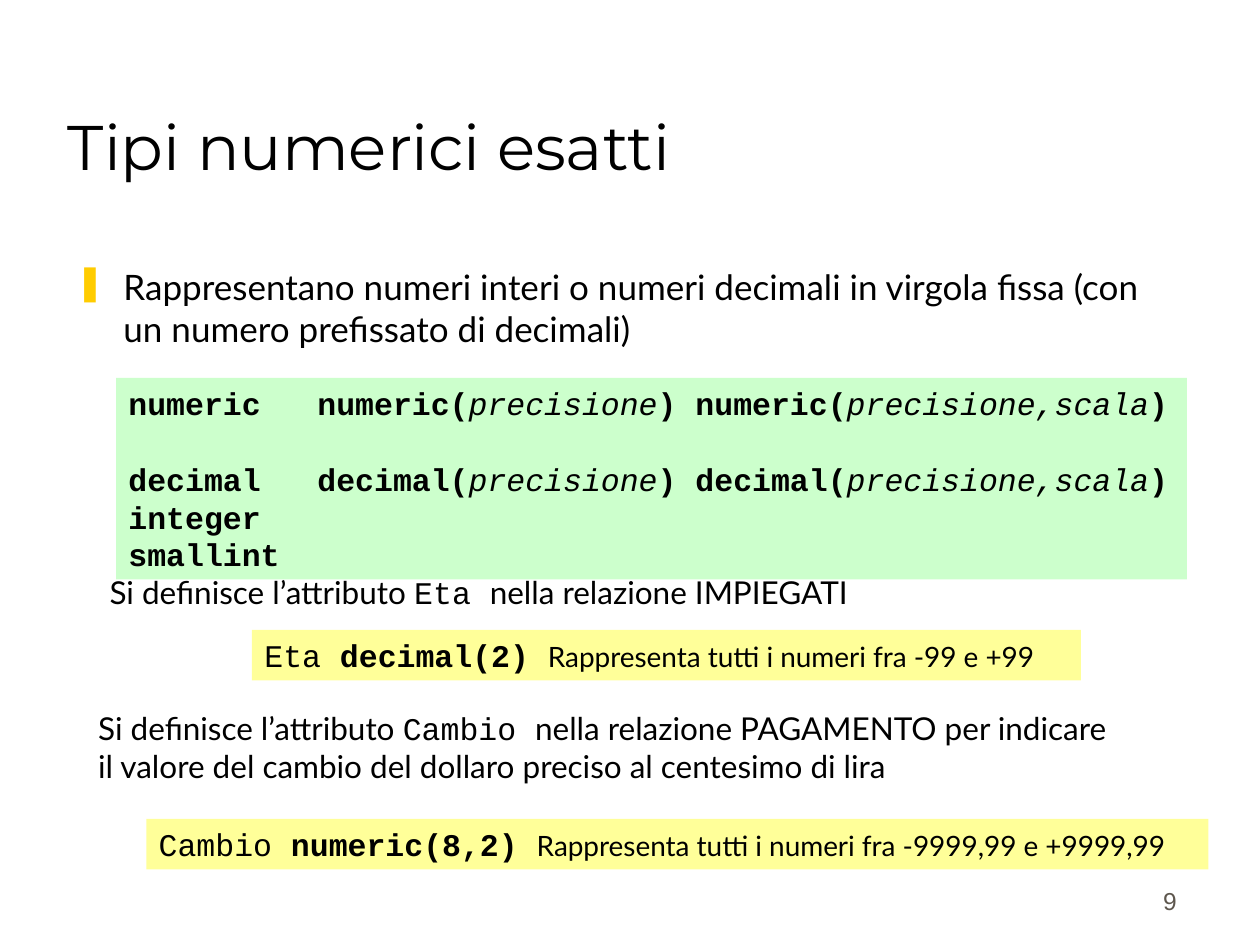
from lxml import etree
from pptx import Presentation
from pptx.dml.color import RGBColor
from pptx.enum.shapes import MSO_SHAPE
from pptx.enum.text import MSO_ANCHOR, PP_ALIGN
from pptx.oxml.ns import qn
from pptx.util import Cm, Pt

RECT = MSO_SHAPE.RECTANGLE
TOP, BOTTOM = MSO_ANCHOR.TOP, MSO_ANCHOR.BOTTOM
LEFT, RIGHT = PP_ALIGN.LEFT, PP_ALIGN.RIGHT

THEME = {
    "ink": "000000", "number": "5E574E", "bullet": "FFCC00",
    "syntax": "CCFFCC", "example": "FFFF99",
    # style: font, size, bold, italic
    "title": ("Montserrat", 36, False, False),
    "body": ("Lato", 20, False, False),
    "text": ("Lato", 18, False, False),
    "note": ("Lato", 16, False, False),
    "code": ("Courier New", 18, False, False),
    "keyword": ("Courier New", 18, True, False),
    "argument": ("Courier New", 18, False, True),
    "page": ("Arial", 14, False, False),
}
CODE_LINE = Pt(21.6)
CODE_TAB = Cm(3.81)
BULLET_INDENT = Cm(0.97)

# Content: each line is a list of (text, style) pieces
TITLE = [[("Tipi numerici esatti", "title")]]
INTRO = [[("Rappresentano numeri interi o numeri decimali in virgola fissa "
           "(con un numero prefissato di decimali)", "body")]]


def syntax_line(name):
    return [(f"{name}\t{name}(", "keyword"), ("precisione", "argument"),
            (f") {name}(", "keyword"), ("precisione,scala", "argument"),
            (")", "keyword")]


SYNTAX = [syntax_line("numeric"), syntax_line("decimal"),
          [("integer", "keyword")], [("smallint", "keyword")]]

# Explanations and examples: lines, box in cm, fill
EXAMPLES = [
    ([[("Si definisce l’attributo ", "text"), ("Eta ", "code"),
       ("nella relazione IMPIEGATI", "text")]],
     (1.96, 11.43, 16.28, 1.02), None),
    ([[("Eta ", "code"), ("decimal(2) ", "keyword"),
       ("Rappresenta tutti i numeri fra -99 e +99", "note")]],
     (5.08, 12.7, 16.71, 1.02), "example"),
    ([[("Si definisce l’attributo ", "text"), ("Cambio ", "code"),
       ("nella relazione PAGAMENTO per indicare", "text")],
      [("il valore del cambio del dollaro preciso al centesimo di lira", "text")]],
     (1.73, 14.17, 21.89, 1.78), None),
    ([[("Cambio ", "code"), ("numeric(8,2) ", "keyword"),
       ("Rappresenta tutti i numeri fra -9999,99 e +9999,99", "note")]],
     (2.95, 16.51, 21.41, 1.02), "example"),
]


def colour(name):
    return RGBColor.from_string(THEME[name])


def add_box(slide, lines, box, fill=None, anchor=TOP, align=LEFT, ink="ink"):
    """Place a text block, on a filled rectangle if a fill is given."""
    place = [Cm(value) for value in box]
    if fill:
        block = slide.shapes.add_shape(RECT, *place)
        block.shadow.inherit = False
        block.fill.solid()
        block.fill.fore_color.rgb = colour(fill)
        block.line.fill.background()
    else:
        block = slide.shapes.add_textbox(*place)
    frame = block.text_frame
    frame.word_wrap = True
    frame.vertical_anchor = anchor
    for index, pieces in enumerate(lines):
        paragraph = frame.add_paragraph() if index else frame.paragraphs[0]
        paragraph.alignment = align
        for text, style in pieces:
            run = paragraph.add_run()
            run.text = text
            font = run.font
            font.name, size, font.bold, font.italic = THEME[style]
            font.size = Pt(size)
            font.color.rgb = colour(ink)
    return frame.paragraphs


def add_bullet(paragraph):
    properties = paragraph._p.get_or_add_pPr()
    properties.set("marL", str(BULLET_INDENT))
    properties.set("indent", str(-BULLET_INDENT))
    tint = etree.SubElement(properties, qn("a:buClr"))
    etree.SubElement(tint, qn("a:srgbClr"), val=THEME["bullet"])
    etree.SubElement(properties, qn("a:buChar"), char="❚")


def add_tab(paragraph):
    tabs = etree.SubElement(paragraph._p.get_or_add_pPr(), qn("a:tabLst"))
    etree.SubElement(tabs, qn("a:tab"), pos=str(CODE_TAB), algn="l")


def main():
    deck = Presentation()
    deck.slide_width, deck.slide_height = Cm(25.4), Cm(19.05)
    slide = deck.slides.add_slide(deck.slide_layouts[6])

    # Title
    add_box(slide, TITLE, (1.12, 0.64, 23.22, 3.18), anchor=BOTTOM)

    # Syntax of the types, with one line of air between the first two
    syntax = add_box(slide, SYNTAX, (2.34, 7.62, 21.59, 4.06), "syntax")
    for paragraph in syntax:
        add_tab(paragraph)
        paragraph.line_spacing = CODE_LINE
    syntax[1].space_before = CODE_LINE

    # Introduction
    add_bullet(add_box(slide, INTRO, (1.27, 5.23, 22.71, 2.16))[0])

    # Examples
    for lines, box, fill in EXAMPLES:
        add_box(slide, lines, box, fill)

    # Page number
    add_box(slide, [[("9", "page")]], (18.69, 17.3, 5.28, 1.27),
            anchor=BOTTOM, align=RIGHT, ink="number")

    deck.save("out.pptx")


if __name__ == "__main__":
    main()
